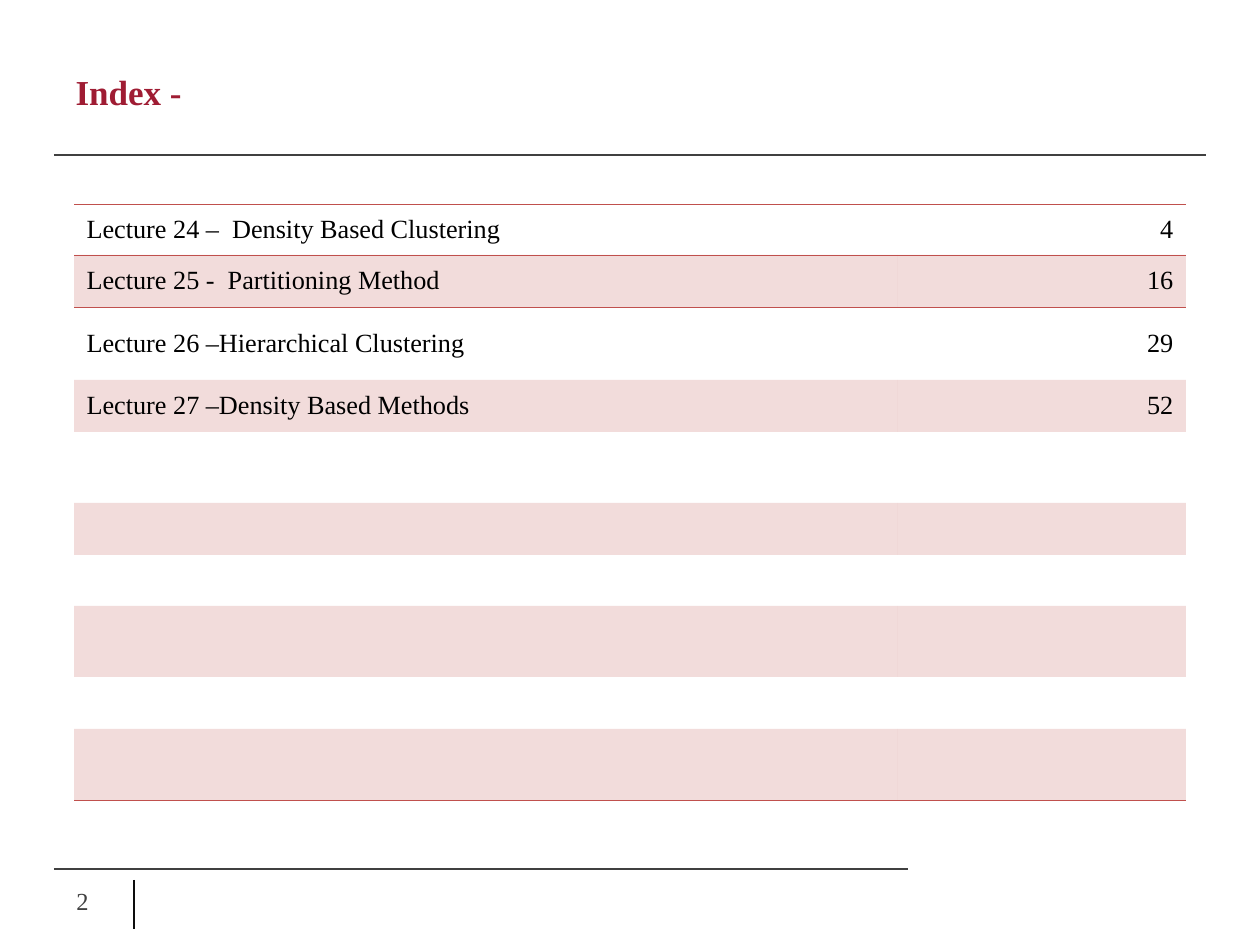
import dataclasses

import lxml.etree
import pptx
import pptx.dml.color
import pptx.enum.shapes
import pptx.enum.text
import pptx.oxml.ns
import pptx.util

SCALE = 914400 / 126  # EMU in one px
PLAIN = "{2D5ABB26-0587-4C30-8999-92F81FD0307C}"  # table style without grid
ALIGN = pptx.enum.text.PP_ALIGN
MIDDLE = pptx.enum.text.MSO_ANCHOR.MIDDLE


@dataclasses.dataclass(frozen=True)
class Theme:
    font: str = "Times New Roman"
    title: str = "9F1C33"
    text: str = "000000"
    grey: str = "404040"
    dark: str = "0D0D0D"
    band: str = "C0504D"
    tint: int = 20
    head: int = 20
    body: int = 15
    foot: int = 14
    rule: float = 0.75
    edge: float = 0.45


def px(*vals):
    return [pptx.util.Emu(round(v * SCALE)) for v in vals]


def rgb(color):
    return pptx.dml.color.RGBColor.from_string(color)


def sub(parent, tag, **attrs):
    return lxml.etree.SubElement(parent, pptx.oxml.ns.qn(tag), attrs)


class Page:
    def __init__(self, slide, theme):
        self.slide = slide
        self.theme = theme

    def style(self, frame, text, size, color, bold=False, align=ALIGN.LEFT):
        """Set the text of a frame, then format its runs."""
        frame.text = text
        para = frame.paragraphs[0]
        para.alignment = align
        for run in para.runs:
            run.font.name = self.theme.font
            run.font.size = pptx.util.Pt(size)
            run.font.bold = bold
            run.font.color.rgb = rgb(color)

    def title(self, text, *box):
        shape = self.slide.shapes.title
        shape.left, shape.top, shape.width, shape.height = px(*box)
        shape.text_frame.vertical_anchor = MIDDLE
        self.style(shape.text_frame, text, self.theme.head, self.theme.title, True)

    def label(self, text, *box):
        frame = self.slide.shapes.add_textbox(*px(*box)).text_frame
        frame.word_wrap = True
        frame.vertical_anchor = MIDDLE
        self.style(frame, text, self.theme.foot, self.theme.grey)

    def line(self, color, *ends):
        kind = pptx.enum.shapes.MSO_CONNECTOR.STRAIGHT
        rule = self.slide.shapes.add_connector(kind, *px(*ends))
        rule.line.color.rgb = rgb(color)
        rule.line.width = pptx.util.Pt(self.theme.rule)
        sub(rule._element.spPr, "a:effectLst")

    def shade(self, cell):
        """Fill a cell with the see-through band colour."""
        cell.fill.solid()
        cell.fill.fore_color.rgb = rgb(self.theme.band)
        color = cell._tc.tcPr.find(".//" + pptx.oxml.ns.qn("a:srgbClr"))
        sub(color, "a:alpha", val=str(self.theme.tint * 1000))

    def border(self, cell, sides):
        """Rule the given sides, named in schema order (T before B)."""
        props = cell._tc.get_or_add_tcPr()
        for spot, side in enumerate(sides):
            width = str(int(pptx.util.Pt(self.theme.edge)))
            edge = sub(props, "a:ln" + side, w=width)
            sub(sub(edge, "a:solidFill"), "a:srgbClr", val=self.theme.band)
            props.insert(spot, edge)

    def table(self, rows, left, cols, edges):
        """Draw rows between the given horizontal edges, shading every second one."""
        count = len(edges) - 1
        box = px(left, edges[0], sum(cols), edges[-1] - edges[0])
        table = self.slide.shapes.add_table(count, len(cols), *box).table
        table.first_row = table.horz_banding = False
        table._tbl.tblPr.find(pptx.oxml.ns.qn("a:tableStyleId")).text = PLAIN
        for col, width in zip(table.columns, px(*cols)):
            col.width = width
        sides = {0: "TB", 1: "T", count - 1: "B"}
        for i, row in enumerate(table.rows):
            row.height = px(edges[i + 1] - edges[i])[0]
            for j, cell in enumerate(row.cells):
                cell.vertical_anchor = MIDDLE
                if i < len(rows):
                    align = ALIGN.RIGHT if j else ALIGN.LEFT
                    self.style(cell.text_frame, rows[i][j], self.theme.body,
                               self.theme.text, align=align)
                if i % 2:
                    self.shade(cell)
                else:
                    cell.fill.background()
                self.border(cell, sides.get(i, ""))


def main():
    deck = pptx.Presentation()
    deck.slide_width, deck.slide_height = px(1260, 945)
    theme = Theme()
    page = Page(deck.slides.add_slide(deck.slide_layouts[5]), theme)

    page.line(theme.grey, 54, 155, 1206, 155)
    page.line(theme.grey, 54, 869, 908, 869)
    page.line(theme.dark, 134, 880, 134, 929)
    page.title("Index -", 63, 38, 1134, 107)
    lectures = [
        ("Lecture 24 –  Density Based Clustering", "4"),
        ("Lecture 25 -  Partitioning Method", "16"),
        ("Lecture 26 –Hierarchical Clustering", "29"),
        ("Lecture 27 –Density Based Methods", "52"),
    ]
    edges = [204, 255, 307, 380, 432, 503, 555, 606, 677, 729, 800]
    page.table(lectures, 74, (824, 288), edges)
    page.label("2", 64, 876, 66, 50)
    deck.save("out.pptx")


if __name__ == "__main__":
    main()
